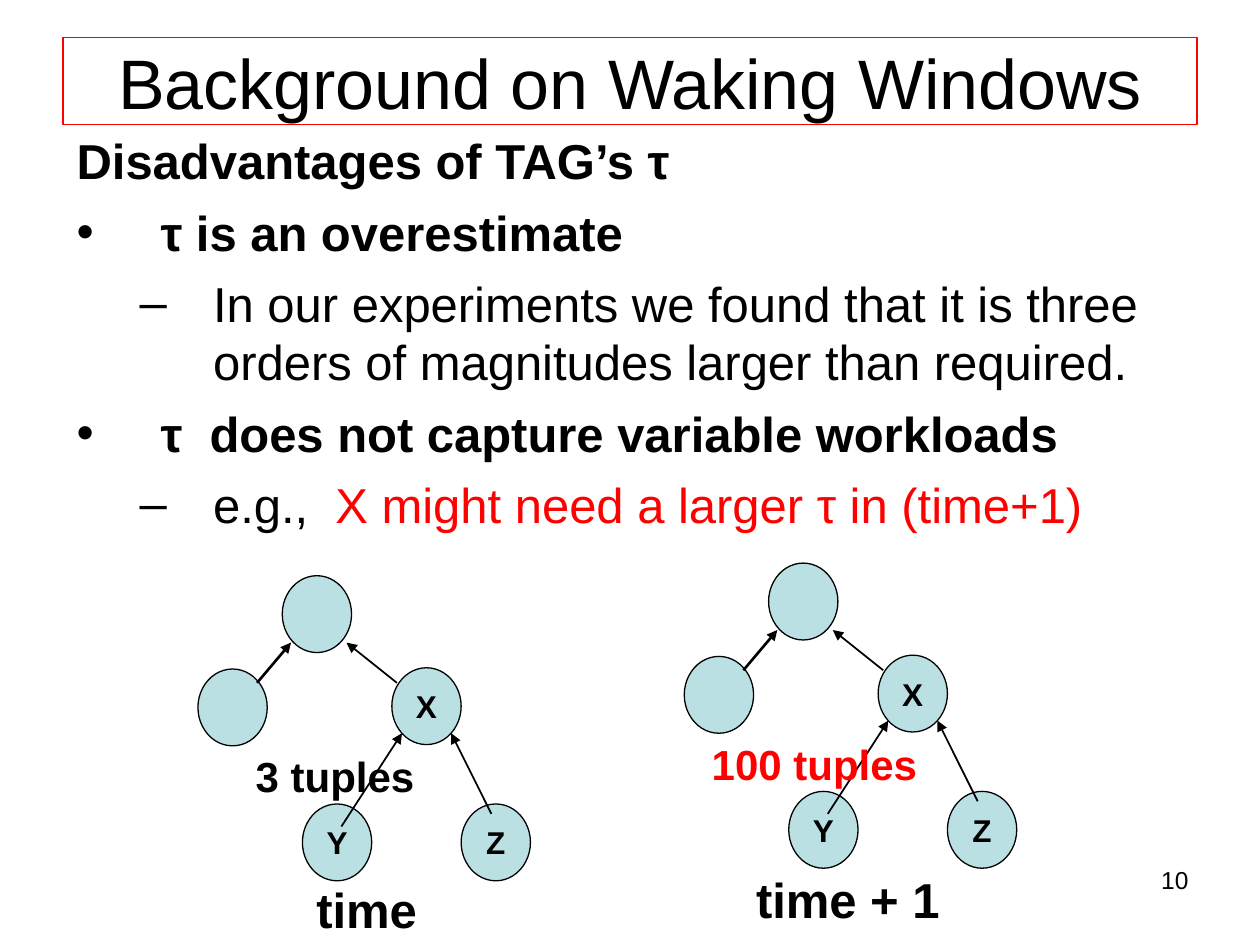
"""Build a slide on the drawbacks of a fixed waking window, with two routing trees."""
import pptx
import pptx.dml.color
import pptx.enum.shapes
import pptx.enum.text
import pptx.oxml
import pptx.oxml.ns
import pptx.util

Pt = pptx.util.Pt
MSO_SHAPE = pptx.enum.shapes.MSO_SHAPE
PP_ALIGN = pptx.enum.text.PP_ALIGN
MSO_ANCHOR = pptx.enum.text.MSO_ANCHOR
BLACK = pptx.dml.color.RGBColor(0x00, 0x00, 0x00)
RED = pptx.dml.color.RGBColor(0xFF, 0x00, 0x00)
NODE_BLUE = pptx.dml.color.RGBColor(0xBB, 0xE0, 0xE3)
NODE_W, NODE_H = 39.6, 43.9


def format_text(p, size, color=BLACK, bold=False, align=PP_ALIGN.LEFT):
    p.alignment = align
    for r in p.runs:
        r.font.name = "Arial"
        r.font.size = Pt(size)
        r.font.bold = bold
        r.font.color.rgb = color


def add_text(s, text, box, size, color=BLACK, bold=False, align=PP_ALIGN.LEFT):
    tb = s.shapes.add_textbox(*[Pt(v) for v in box])
    tb.text_frame.word_wrap = True
    tb.text_frame.text = text
    format_text(tb.text_frame.paragraphs[0], size, color, bold, align)
    return tb


prs = pptx.Presentation()
prs.slide_width, prs.slide_height = Pt(720), Pt(540)
s = prs.slides.add_slide(prs.slide_layouts[6])

add_text(s, "10", (518.4, 491, 167.8, 37.4), 14, align=PP_ALIGN.RIGHT)

title = add_text(s, "Background on Waking Windows", (36, 21.6, 648, 49.7), 40, align=PP_ALIGN.CENTER)
title.text_frame.vertical_anchor = MSO_ANCHOR.MIDDLE
title.line.color.rgb = RED
title.line.width = Pt(0.75)

body = add_text(s, "Disadvantages of TAG’s τ", (36.7, 71.3, 629.3, 249.8), 28, bold=True)
points = [
    (0, ["τ is an overestimate"]),
    (1, ["In our experiments we found that it is three orders of magnitudes larger than required."]),
    (0, ["τ  does not capture variable workloads"]),
    (1, ["e.g.,", "  X might need a larger τ in (time+1)"]),
]
for level, texts in points:
    p = body.text_frame.add_paragraph()
    p.level = level
    p.space_before = Pt(7)
    margin, indent, bullet = [(48, -48, "•"), (78, -42, "–")][level]
    pPr = p._p.get_or_add_pPr()
    pPr.set("marL", str(Pt(margin)))
    pPr.set("indent", str(Pt(indent)))
    ns = pptx.oxml.ns.nsdecls("a")
    for xml in (
        f'<a:buClr {ns}><a:srgbClr val="{BLACK}"/></a:buClr>',
        f'<a:buFont {ns} typeface="Arial"/>',
        f'<a:buChar {ns} char="{bullet}"/>',
    ):
        pPr.append(pptx.oxml.parse_xml(xml))
    for text in texts:
        p.add_run().text = text
    format_text(p, 28, bold=level == 0)
    for r in p.runs[1:]:
        r.font.color.rgb = RED

nodes = [("", 0, 0), ("", -48.2, 53.3), ("X", 62.6, 52.6), ("Y", 11.5, 130.4), ("Z", 102.2, 130.4)]
edges = [
    (-14.4, 61.2, 5, 38.2, 1.5),
    (65.5, 61.2, 36.7, 38.2, 1),
    (33.8, 143.3, 68.4, 90, 1),
    (119.5, 136.1, 96.5, 90, 1),
]
trees = [
    (161.3, 329, "3 tuples", (139, 425.5, 118.8, 36), BLACK, "time", (115.9, 499, 187.2, 41)),
    (439.2, 321.8, "100 tuples", (399.6, 418.3, 136.1, 36), RED, "time + 1", (393.8, 493.2, 181.4, 41)),
]
for x, y, load, load_box, load_color, moment, moment_box in trees:
    for name, dx, dy in nodes:
        node = s.shapes.add_shape(MSO_SHAPE.OVAL, Pt(x + dx), Pt(y + dy), Pt(NODE_W), Pt(NODE_H))
        node.shadow.inherit = False
        node.fill.solid()
        node.fill.fore_color.rgb = NODE_BLUE
        node.line.color.rgb = BLACK
        node.line.width = Pt(0.75)
        if name:
            tf = node.text_frame
            tf.word_wrap = False
            tf.vertical_anchor = MSO_ANCHOR.MIDDLE
            tf.text = name
            format_text(tf.paragraphs[0], 18, bold=True, align=PP_ALIGN.CENTER)
    for x1, y1, x2, y2, width in edges:
        edge = s.shapes.add_connector(
            pptx.enum.shapes.MSO_CONNECTOR.STRAIGHT, Pt(x + x1), Pt(y + y1), Pt(x + x2), Pt(y + y2)
        )
        edge.line.color.rgb = BLACK
        edge.line.width = Pt(width)
        ns = pptx.oxml.ns.nsdecls("a")
        edge.line._get_or_add_ln().append(pptx.oxml.parse_xml(f'<a:tailEnd {ns} type="triangle"/>'))
        edge._element.spPr.append(pptx.oxml.parse_xml(f"<a:effectLst {ns}/>"))
    add_text(s, load, load_box, 24, load_color, bold=True)
    add_text(s, moment, moment_box, 28, bold=True, align=PP_ALIGN.CENTER)

prs.save("out.pptx")
